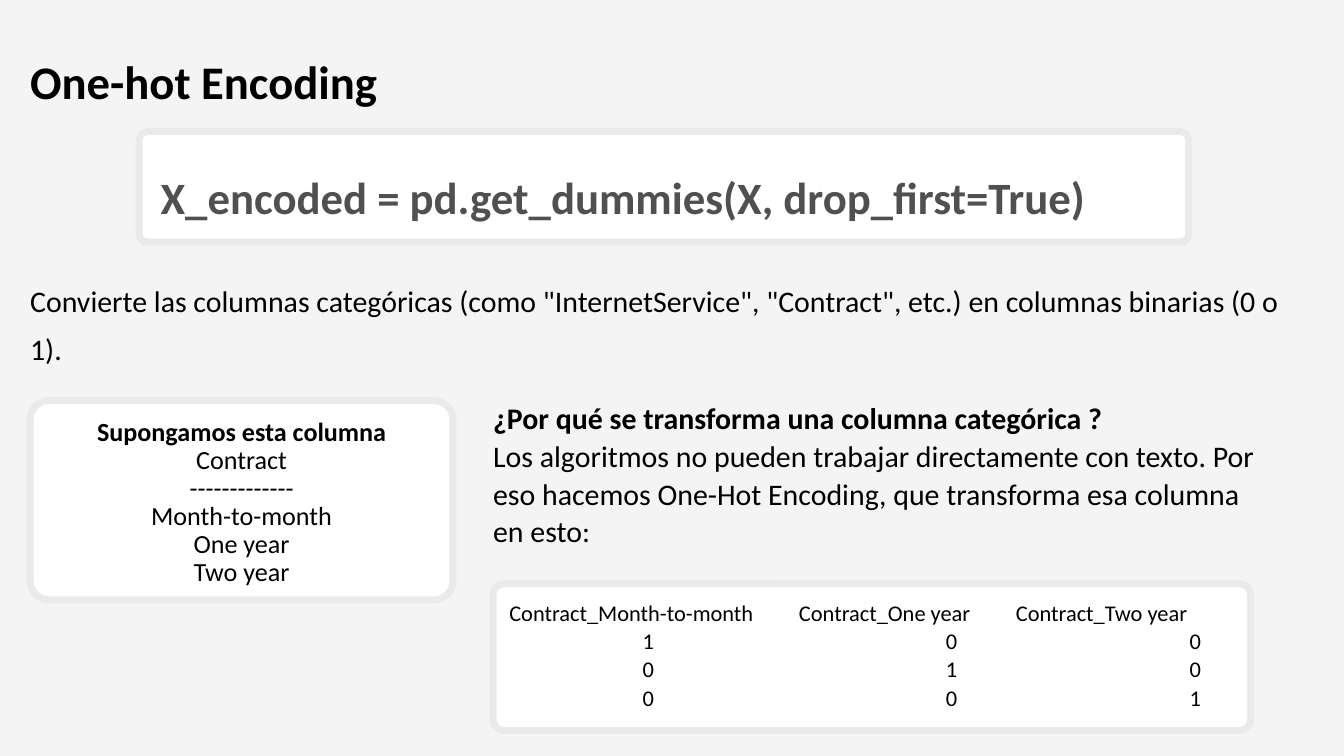
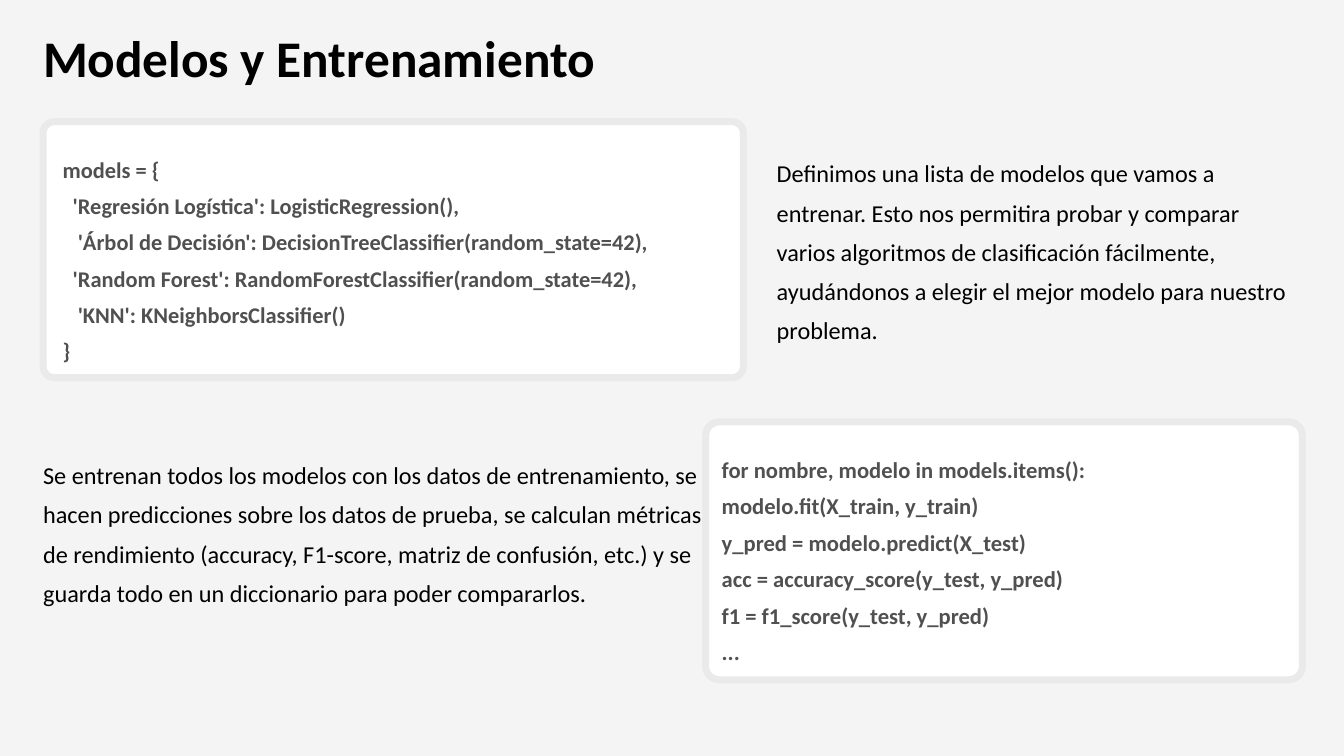
from lxml.etree import SubElement
from pptx import Presentation
from pptx.dml.color import RGBColor
from pptx.enum.shapes import MSO_SHAPE
from pptx.enum.text import MSO_ANCHOR, PP_ALIGN
from pptx.oxml.ns import qn
from pptx.util import Cm, Pt

FONT = "Calibri"
BACKGROUND, CARD_FILL, CARD_LINE = "F4F4F4", "FFFFFF", "EAEAEA"
INK, CODE_INK = "000000", "505050"


def color(value):
    return RGBColor.from_string(value)


def add_tab_stops(paragraph, stops, alignment):
    properties = paragraph._p.get_or_add_pPr()
    tab_list = SubElement(properties, qn("a:tabLst"))
    for stop in stops:
        SubElement(tab_list, qn("a:tab"), pos=str(Cm(stop)), algn=alignment)


def add_text(slide, box, lines, size, spacing, ink=INK, bold=False,
             bold_first=False, first_spacing=None, align=PP_ALIGN.LEFT, indents=()):
    """Write one paragraph per line and return the paragraphs."""
    frame = slide.shapes.add_textbox(*map(Cm, box)).text_frame
    frame.word_wrap = True
    frame.vertical_anchor = MSO_ANCHOR.TOP
    frame.margin_left = frame.margin_right = frame.margin_top = frame.margin_bottom = 0
    for index, line in enumerate(lines):
        paragraph = frame.add_paragraph() if index else frame.paragraphs[0]
        paragraph.alignment = align
        paragraph.line_spacing = Pt(first_spacing if first_spacing and not index else spacing)
        if index < len(indents) and indents[index]:
            paragraph._p.get_or_add_pPr().set("marL", str(Cm(indents[index])))
        run = paragraph.add_run()
        run.text = line
        run.font.name = FONT
        run.font.size = Pt(size)
        run.font.bold = bold or (bold_first and index == 0)
        run.font.color.rgb = color(ink)
    return frame.paragraphs


def add_card(slide, box, radius):
    card = slide.shapes.add_shape(MSO_SHAPE.ROUNDED_RECTANGLE, *map(Cm, box))
    card.shadow.inherit = False
    card.adjustments[0] = radius / min(box[2:])
    card.fill.solid()
    card.fill.fore_color.rgb = color(CARD_FILL)
    card.line.color.rgb = color(CARD_LINE)
    card.line.width = Pt(7.5)


def add_text_card(slide, box, radius, inset, lines, **text_format):
    """Card whose text starts at the (left, top) inset and is centred in its width."""
    add_card(slide, box, radius)
    left, top, width, height = box
    across, down = inset
    text_box = (left + across, top + down, width - 2 * across, height - 2 * down)
    return add_text(slide, text_box, lines, **text_format)


def add_code_card(slide, box, radius, inset, lines, **text_format):
    add_text_card(slide, box, radius, inset, lines, ink=CODE_INK, bold=True,
                  align=PP_ALIGN.JUSTIFY, **text_format)


def add_encoded_columns(slide, box):
    names = ["Contract_Month-to-month", "Contract_One year", "Contract_Two year"]
    count = len(names)
    # Each category becomes one row of the identity matrix
    rows = [[str(int(row == column)) for column in range(count)] for row in range(count)]
    lines = ["\t".join(names)] + ["\t" + "\t".join(row) for row in rows]
    header, *values = add_text_card(slide, box, 0.41, (0.61, 0.53), lines,
                                    size=24, spacing=30.2)
    add_tab_stops(header, (10.95, 19.15), "l")
    for paragraph in values:
        add_tab_stops(paragraph, (5.25, 16.72, 25.93), "ctr")


def new_slide(presentation):
    slide = presentation.slides.add_slide(presentation.slide_layouts[6])
    slide.background.fill.solid()
    slide.background.fill.fore_color.rgb = color(BACKGROUND)
    return slide


def add_title(slide, box, title, size, spacing):
    add_text(slide, box, [title], size=size, spacing=spacing, bold=True)


def build_encoding_slide(presentation):
    slide = new_slide(presentation)
    left, right_column = 1.14, 18.64

    # Title, code and description
    add_code_card(slide, (5.26, 4.98, 39.67, 4.17), 0.29, (0.81, 0.74),
                  ["X_encoded = pd.get_dummies(X, drop_first=True)"], size=48, spacing=77.8)
    add_title(slide, (left, 1.24, 47.02, 2.67), "One-hot Encoding", 50, 81)
    add_text(slide, (left, 10.21, 48.49, 3.53),
             ['Convierte las columnas categóricas (como "InternetService", "Contract", etc.) '
              "en columnas binarias (0 o 1)."], size=32, spacing=51.8)

    # Column before encoding
    add_text_card(slide, (left, 15.14, 15.98, 7.54), 0.72, (0, 0.51),
                  ["Supongamos esta columna", "Contract", "-------------",
                   "Month-to-month", "One year", "Two year"],
                  size=28, spacing=30, first_spacing=35.3, bold_first=True,
                  align=PP_ALIGN.CENTER)

    # Reason and columns after encoding
    add_text(slide, (right_column, 15.06, 29.51, 5.59),
             ["¿Por qué se transforma una columna categórica ?",
              "Los algoritmos no pueden trabajar directamente con texto. Por eso hacemos "
              "One-Hot Encoding, que transforma esa columna en esto:"],
             size=32, spacing=40.3, bold_first=True)
    add_encoded_columns(slide, (right_column, 22.07, 28.63, 5.54))


def build_training_slide(presentation):
    slide = new_slide(presentation)
    left = 1.63
    add_title(slide, (left, 0.89, 34.44, 2.39), "Modelos y Entrenamiento", 55, 69.3)

    # Model definitions
    add_code_card(slide, (left, 4.6, 26.47, 9.68), 0.43, (0.74, 0.94),
                  ["models = {",
                   "'Regresión Logística': LogisticRegression(),",
                   "'Árbol de Decisión': DecisionTreeClassifier(random_state=42),",
                   "'Random Forest': RandomForestClassifier(random_state=42),",
                   "'KNN': KNeighborsClassifier()",
                   "}"],
                  size=24, spacing=38.9, indents=(0, 0.38, 0.57, 0.38, 0.57, 0))
    add_text(slide, (29.36, 5.61, 19.86, 7.34),
             ["Definimos una lista de modelos que vamos a entrenar. Esto nos permitira probar "
              "y comparar varios algoritmos de clasificación fácilmente, ayudándonos a elegir "
              "el mejor modelo para nuestro problema."], size=26, spacing=42.1)

    # Training loop
    add_text(slide, (left, 17.02, 25.4, 7.34),
             ["Se entrenan todos los modelos con los datos de entrenamiento, se hacen "
              "predicciones sobre los datos de prueba, se calculan métricas de rendimiento "
              "(accuracy, F1-score, matriz de confusión, etc.) y se guarda todo en un "
              "diccionario para poder compararlos."], size=26, spacing=42.1)
    add_code_card(slide, (26.67, 15.95, 22.56, 9.75), 0.52, (0.61, 0.91),
                  ["for nombre, modelo in models.items():",
                   "modelo.fit(X_train, y_train)",
                   "y_pred = modelo.predict(X_test)",
                   "acc = accuracy_score(y_test, y_pred)",
                   "f1 = f1_score(y_test, y_pred)",
                   "..."], size=24.2, spacing=39.2)


def main():
    presentation = Presentation()
    presentation.slide_width = Cm(50.8)
    presentation.slide_height = Cm(28.58)
    build_encoding_slide(presentation)
    build_training_slide(presentation)
    presentation.save("out.pptx")


if __name__ == "__main__":
    main()
